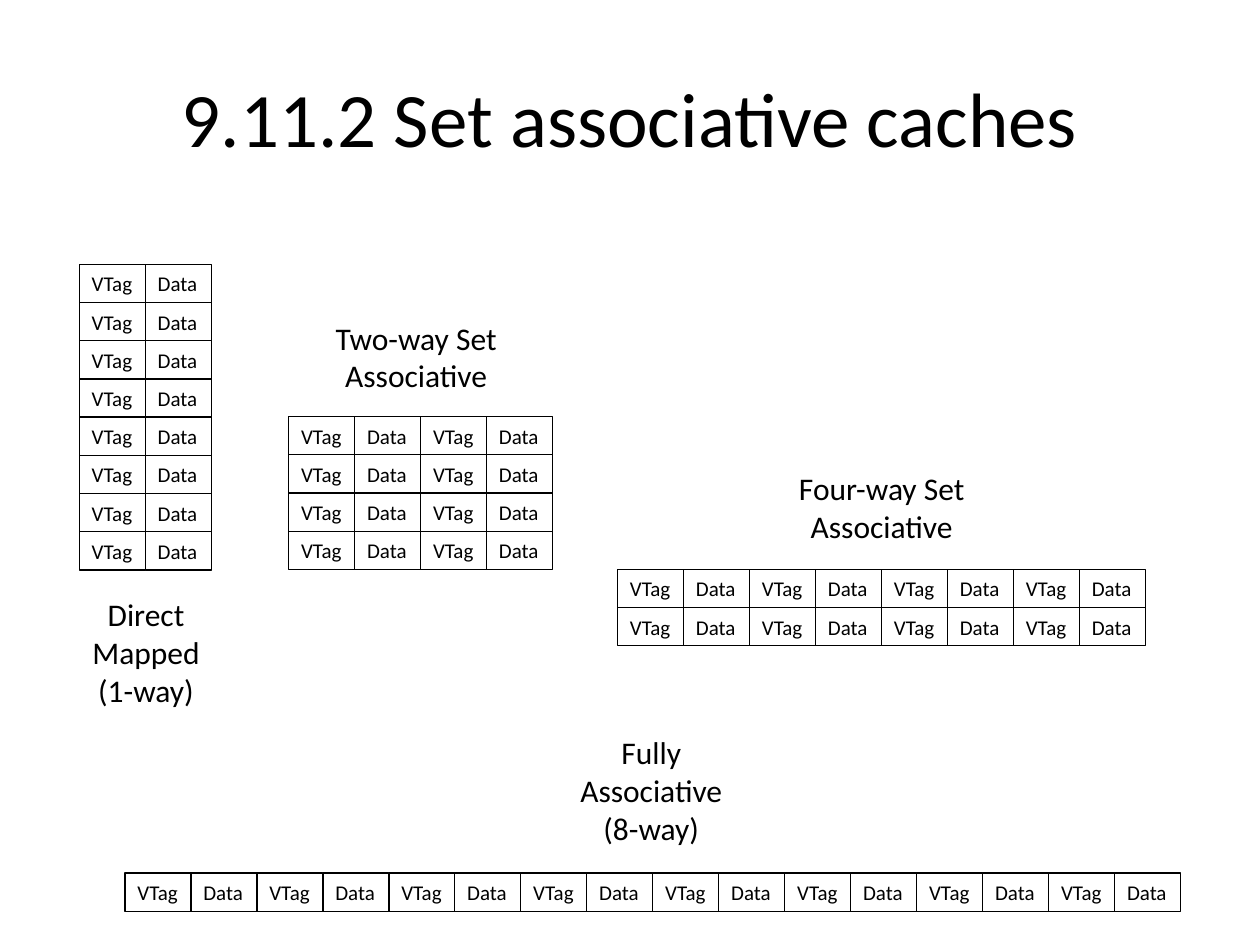
from pptx import Presentation
from pptx import util as u
from pptx.dml.color import RGBColor
from pptx.enum import shapes, text

TITLE = "9.11.2 Set associative caches"
FIELDS = ("VTag", "Data")
# ways, sets, left and top of the grid (cm)
CACHES = [
    (8, 1, 2.52, 17.6),
    (1, 8, 1.6, 5.33),
    (2, 4, 5.82, 8.4),
    (4, 2, 12.45, 11.48),
]
# lines, then left, top, width and height (cm)
LABELS = [
    (("Direct", "Mapped", "(1-way)"), (1.6, 11.87, 2.69, 2.57)),
    (("Two-way Set", "Associative"), (6.5, 6.3, 3.78, 1.8)),
    (("Four-way Set", "Associative"), (15.82, 9.34, 3.91, 1.8)),
    (("Fully", "Associative", "(8-way)"), (11.43, 14.66, 3.4, 2.57)),
]
COLORS = {"ink": "000000"}
FONT = "Calibri"
CELL_WIDTH, CELL_HEIGHT = 1.33, 0.77

INK = RGBColor.from_string(COLORS["ink"])


def write(shape, lines, size, align):
    frame = shape.text_frame
    frame.text = "\n".join(lines)
    for para in frame.paragraphs:
        para.alignment = align
        for span in para.runs:
            span.font.name = FONT
            span.font.size = u.Pt(size)
            span.font.color.rgb = INK


def fit_to_text(shape):
    shape.text_frame.word_wrap = False
    shape.text_frame.auto_size = text.MSO_AUTO_SIZE.SHAPE_TO_FIT_TEXT


def add_cell(page, field, left, top):
    cell = page.shapes.add_shape(
        shapes.MSO_SHAPE.RECTANGLE,
        u.Cm(left), u.Cm(top), u.Cm(CELL_WIDTH), u.Cm(CELL_HEIGHT))
    cell.shadow.inherit = False
    cell.fill.background()
    cell.line.color.rgb = INK
    cell.line.width = u.Pt(0.75)
    write(cell, [field], 12, text.PP_ALIGN.LEFT)
    fit_to_text(cell)


def add_cache(page, ways, sets, left, top):
    """Draw one row per set, with a tag and a data cell for each way."""
    for row in range(sets):
        for column, field in enumerate(FIELDS * ways):
            add_cell(page, field,
                     left + column * CELL_WIDTH, top + row * CELL_HEIGHT)


def main():
    deck = Presentation()
    deck.slide_width, deck.slide_height = u.Cm(25.4), u.Cm(19.05)
    page = deck.slides.add_slide(deck.slide_layouts[5])

    title = page.shapes.title
    title.left, title.top = u.Cm(1.27), u.Cm(0.76)
    title.width, title.height = u.Cm(22.86), u.Cm(3.18)
    title.text_frame.vertical_anchor = text.MSO_ANCHOR.MIDDLE
    write(title, [TITLE], 44, text.PP_ALIGN.CENTER)

    for cache in CACHES:
        add_cache(page, *cache)
    for lines, place in LABELS:
        box = page.shapes.add_textbox(*map(u.Cm, place))
        write(box, lines, 18, text.PP_ALIGN.CENTER)
        fit_to_text(box)

    deck.save("out.pptx")


if __name__ == "__main__":
    main()
